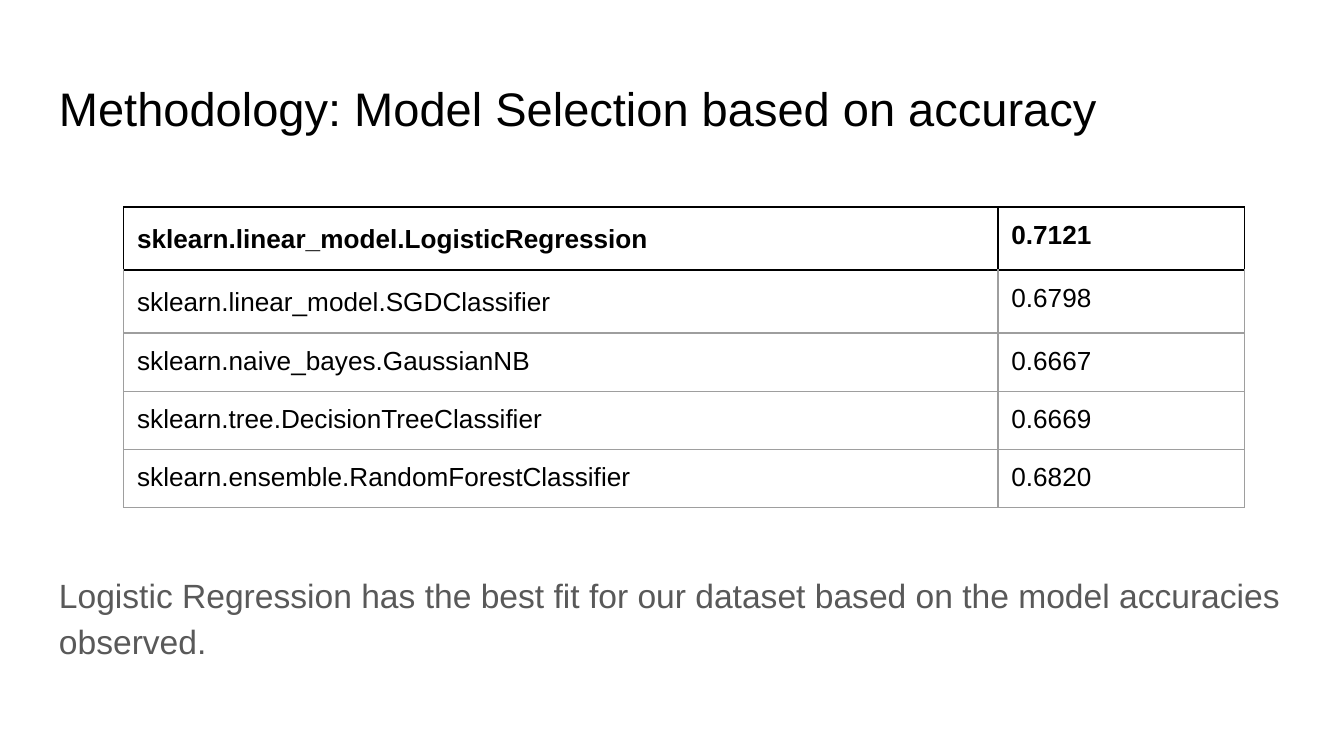
from collections import namedtuple
from dataclasses import dataclass

from lxml import etree
from pptx import Presentation, util as u
from pptx.dml.color import RGBColor
from pptx.enum import text
from pptx.oxml.ns import qn

Box = namedtuple("Box", "left top width height")


@dataclass(frozen=True)
class Theme:
    font: str = "Arial"
    ink: str = "000000"
    muted: str = "595959"
    rule: str = "9E9E9E"
    rule_width: float = 0.75
    title_size: float = 25.2
    body_size: float = 18
    table_size: float = 14
    loose: float = 1.15
    inset: float = 0.1


THEME = Theme()
WIDTH = 10
HEIGHT = WIDTH * 9 / 16
MARGIN = 0.34
CONTENT_WIDTH = WIDTH - 2 * MARGIN
SCORE_SHARE = 0.22
ROW_HEIGHT = 0.42

TITLE = "Methodology: Model Selection based on accuracy"
CONCLUSION = ("Logistic Regression has the best fit for our dataset "
              "based on the model accuracies observed.")
SCORES = [
    ("sklearn.linear_model.LogisticRegression", "0.7121"),
    ("sklearn.linear_model.SGDClassifier", "0.6798"),
    ("sklearn.naive_bayes.GaussianNB", "0.6667"),
    ("sklearn.tree.DecisionTreeClassifier", "0.6669"),
    ("sklearn.ensemble.RandomForestClassifier", "0.6820"),
]
BEST_ROW = 0
LOOSE_ROWS = 2  # leading rows whose model names have wider line spacing


def inches(box):
    return [u.Inches(length) for length in box]


def write(frame, words, *, size, color=THEME.ink, bold=False, spacing=None, after=0):
    frame.word_wrap = True
    para = frame.paragraphs[0]
    para.alignment = text.PP_ALIGN.LEFT
    para.space_after = u.Pt(after)
    if spacing:
        para.line_spacing = spacing
    span = para.add_run()
    span.text = words
    span.font.name = THEME.font
    span.font.size = u.Pt(size)
    span.font.bold = bold
    span.font.color.rgb = RGBColor.from_string(color)


def set_insets(holder):
    for side in ("left", "top", "right", "bottom"):
        setattr(holder, f"margin_{side}", u.Inches(THEME.inset))


def add_text(page, box, words, **style):
    frame = page.shapes.add_textbox(*inches(box)).text_frame
    frame.vertical_anchor = text.MSO_ANCHOR.TOP
    set_insets(frame)
    write(frame, words, **style)


def set_borders(cell, colors):
    """Draw the cell's left, right, top and bottom rules in the given colours."""
    properties = cell._tc.get_or_add_tcPr()
    for side, color in zip("LRTB", colors):
        line = etree.SubElement(properties, qn(f"a:ln{side}"),
                                w=str(u.Pt(THEME.rule_width)))
        fill = etree.SubElement(line, qn("a:solidFill"))
        etree.SubElement(fill, qn("a:srgbClr"), val=color)


def border_colors(row):
    if row == BEST_ROW:
        return [THEME.ink] * 4
    top = THEME.ink if row == BEST_ROW + 1 else THEME.rule
    return [THEME.rule, THEME.rule, top, THEME.rule]


def add_scores(page, box):
    holder = page.shapes.add_table(len(SCORES), 2, *inches(box))
    table = holder.table
    table.first_row = table.horz_banding = False
    for column, share in zip(table.columns, (1 - SCORE_SHARE, SCORE_SHARE)):
        column.width = u.Inches(box.width * share)
    for row, entry in enumerate(SCORES):
        table.rows[row].height = u.Inches(ROW_HEIGHT)
        for column, words in enumerate(entry):
            cell = table.cell(row, column)
            loose = column == 0 and row < LOOSE_ROWS
            set_insets(cell)
            set_borders(cell, border_colors(row))
            cell.fill.background()
            write(cell.text_frame, words, size=THEME.table_size,
                  bold=row == BEST_ROW, spacing=THEME.loose if loose else None,
                  after=12 if loose else 0)
    holder.height = u.Inches(box.height)  # row changes reset the outer height


def build_model_selection(page):
    add_text(page, Box(MARGIN, 0.49, CONTENT_WIDTH, 0.63), TITLE,
             size=THEME.title_size)
    add_scores(page, Box(0.92, 1.54, 8.34, 2.19))
    add_text(page, Box(MARGIN, 4.13, CONTENT_WIDTH, 0.86), CONCLUSION,
             size=THEME.body_size, color=THEME.muted,
             spacing=THEME.loose, after=12)


def main():
    deck = Presentation()
    deck.slide_width, deck.slide_height = u.Inches(WIDTH), u.Inches(HEIGHT)
    build_model_selection(deck.slides.add_slide(deck.slide_layouts[6]))
    deck.save("out.pptx")


if __name__ == "__main__":
    main()
